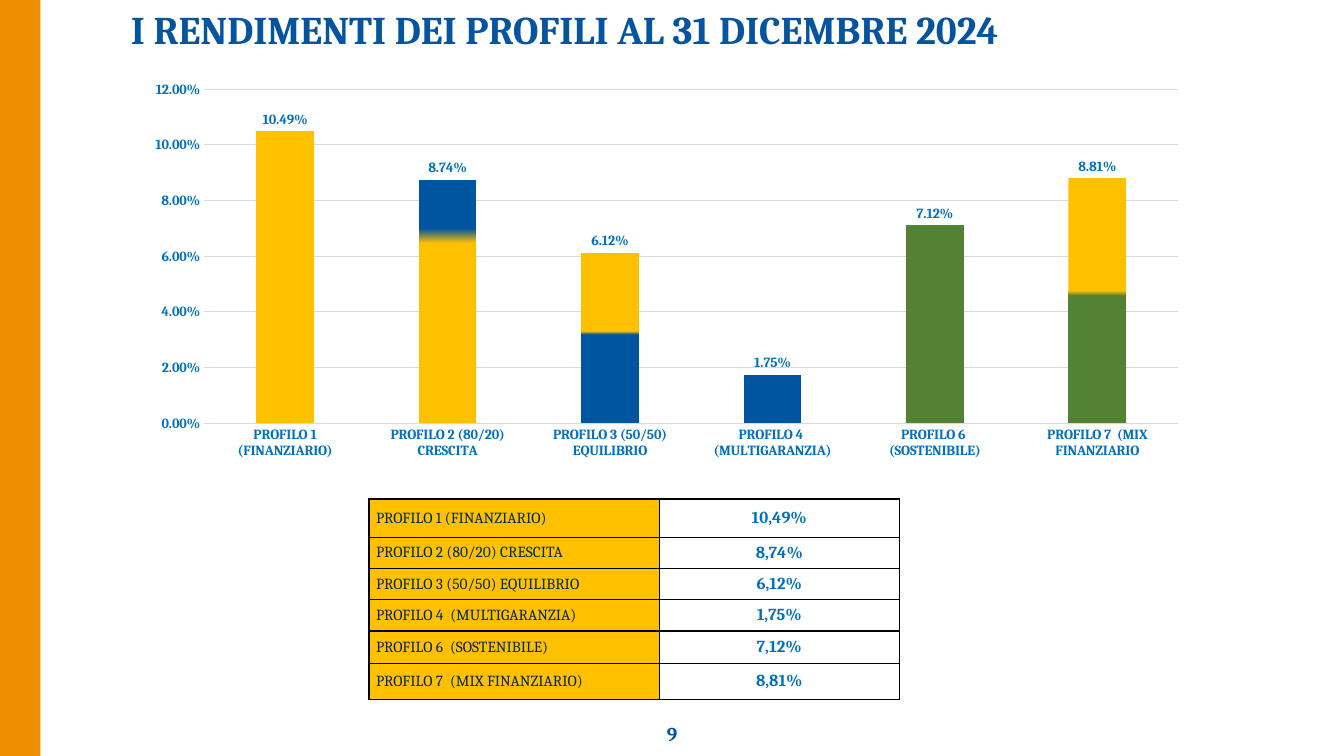
from lxml.etree import SubElement
from pptx import Presentation
from pptx.chart.data import CategoryChartData
from pptx.dml.color import RGBColor
from pptx.enum.chart import XL_CHART_TYPE, XL_LABEL_POSITION, XL_TICK_MARK
from pptx.enum.shapes import MSO_SHAPE
from pptx.enum.text import MSO_ANCHOR, PP_ALIGN
from pptx.oxml.ns import qn
from pptx.util import Inches, Pt

FONT = "Cambria"
NAVY, BLUE, DARK = "04549F", "0070C0", "002758"
ORANGE, YELLOW, ROYAL, GREEN = "F08E01", "FFC000", "0055A0", "548235"
WHITE, BLACK, GRAY = "FFFFFF", "000000", "D9D9D9"

RETURNS = [
    ("PROFILO 1 (FINANZIARIO)", 0.1049),
    ("PROFILO 2 (80/20)\nCRESCITA", 0.0874),
    ("PROFILO 3 (50/50)\nEQUILIBRIO", 0.0612),
    ("PROFILO 4  (MULTIGARANZIA)", 0.0175),
    ("PROFILO 6  (SOSTENIBILE)", 0.0712),
    ("PROFILO 7  (MIX FINANZIARIO", 0.0881),
]
BAR_FILLS = [
    [(0, YELLOW)],
    [(20, ROYAL), (26, YELLOW)],
    [(46, YELLOW), (48, ROYAL)],
    [(0, ROYAL)],
    [(0, GREEN)],
    [(46, YELLOW), (48, GREEN)],
]
TABLE_ROWS = [
    ("PROFILO 1 (FINANZIARIO)", "10,49%", 0.38),
    ("PROFILO 2 (80/20) CRESCITA", "8,74%", 0.31),
    ("PROFILO 3 (50/50) EQUILIBRIO", "6,12%", 0.31),
    ("PROFILO 4  (MULTIGARANZIA)", "1,75%", 0.31),
    ("PROFILO 6  (SOSTENIBILE)", "7,12%", 0.32),
    ("PROFILO 7  (MIX FINANZIARIO)", "8,81%", 0.36),
]


def rgb(value):
    return RGBColor.from_string(value)


class SlideBuilder:
    def __init__(self, slide):
        self.slide = slide

    def style(self, font, size, color, bold=True):
        font.name = FONT
        font.size = Pt(size)
        font.bold = bold
        font.color.rgb = rgb(color)

    def add_text(self, frame, text, size, color, bold=True, align=PP_ALIGN.LEFT):
        paragraph = frame.paragraphs[0]
        paragraph.alignment = align
        run = paragraph.add_run()
        run.text = text
        self.style(run.font, size, color, bold)

    def text(self, box, text, size, align=PP_ALIGN.LEFT):
        shape = self.slide.shapes.add_textbox(*map(Inches, box))
        shape.text_frame.word_wrap = True
        self.add_text(shape.text_frame, text, size, NAVY, align=align)

    def band(self, box, color):
        shape = self.slide.shapes.add_shape(MSO_SHAPE.RECTANGLE, *map(Inches, box))
        shape.shadow.inherit = False
        shape.fill.solid()
        shape.fill.fore_color.rgb = rgb(color)
        shape.line.fill.background()

    def fill_bar(self, fill, stops):
        if len(stops) == 1:
            fill.solid()
            fill.fore_color.rgb = rgb(stops[0][1])
            return
        fill.gradient()
        fill.gradient_angle = 270
        for gradient_stop, (percent, color) in zip(fill.gradient_stops, stops):
            gradient_stop.position = percent / 100
            gradient_stop.color.rgb = rgb(color)

    def gray_line(self, line):
        line.color.rgb = rgb(GRAY)
        line.width = Pt(0.75)

    def chart(self, box, returns, bar_fills):
        data = CategoryChartData(number_format="0.00%")
        data.categories = [name for name, value in returns]
        data.add_series("Series 1", [value for name, value in returns])
        chart = self.slide.shapes.add_chart(
            XL_CHART_TYPE.COLUMN_CLUSTERED, *map(Inches, box), data
        ).chart
        chart.has_legend = False
        chart.has_title = False
        self.style(chart.font, 10, BLUE)

        for axis in (chart.category_axis, chart.value_axis):
            axis.major_tick_mark = XL_TICK_MARK.NONE
            axis.minor_tick_mark = XL_TICK_MARK.NONE
            self.style(axis.tick_labels.font, 10, BLUE)
        self.gray_line(chart.category_axis.format.line)
        value_axis = chart.value_axis
        value_axis.minimum_scale = 0
        value_axis.maximum_scale = 0.12
        value_axis.major_unit = 0.02
        value_axis.format.line.fill.background()
        value_axis.tick_labels.number_format = "0.00%"
        value_axis.tick_labels.number_format_is_linked = False
        self.gray_line(value_axis.major_gridlines.format.line)

        plot = chart.plots[0]
        plot.gap_width = 182
        plot.vary_by_categories = False
        series = plot.series[0]
        for index, stops in enumerate(bar_fills):
            self.fill_bar(series.points[index].format.fill, stops)
        labels = series.data_labels
        labels.show_value = True
        labels.position = XL_LABEL_POSITION.OUTSIDE_END
        labels.number_format = "0.00%"
        labels.number_format_is_linked = False
        self.style(labels.font, 10, BLUE)

    def cell(self, cell, text, size, color, bold, align, background):
        cell.margin_left = Inches(0.07) if align == PP_ALIGN.LEFT else 0
        cell.margin_right = cell.margin_top = cell.margin_bottom = 0
        cell.vertical_anchor = MSO_ANCHOR.MIDDLE
        properties = cell._tc.get_or_add_tcPr()
        for side in ("a:lnL", "a:lnR", "a:lnT", "a:lnB"):
            line = SubElement(properties, qn(side), w=str(Pt(1)))
            solid = SubElement(line, qn("a:solidFill"))
            SubElement(solid, qn("a:srgbClr"), val=BLACK)
        cell.fill.solid()
        cell.fill.fore_color.rgb = rgb(background)
        self.add_text(cell.text_frame, text, size, color, bold, align)

    def table(self, box, widths, rows):
        table = self.slide.shapes.add_table(
            len(rows), len(widths), *map(Inches, box)
        ).table
        table.first_row = False
        table.horz_banding = False
        for column, width in zip(table.columns, widths):
            column.width = Inches(width)
        for index, (name, value, height) in enumerate(rows):
            table.rows[index].height = Inches(height)
            self.cell(table.cell(index, 0), name, 11, DARK, False, PP_ALIGN.LEFT, YELLOW)
            self.cell(table.cell(index, 1), value, 12, BLUE, True, PP_ALIGN.CENTER, WHITE)


def main():
    presentation = Presentation()
    presentation.slide_width = Inches(13.33)
    presentation.slide_height = Inches(7.5)
    builder = SlideBuilder(presentation.slides.add_slide(presentation.slide_layouts[6]))
    builder.text((1.2, 0, 10.95, 0.57), "I RENDIMENTI DEI PROFILI AL 31 DICEMBRE 2024", 28)
    builder.band((0, 0, 0.4, 7.5), ORANGE)
    builder.text((6.51, 7.11, 0.31, 0.39), "9", 14, PP_ALIGN.CENTER)
    builder.chart((1.33, 0.73, 10.57, 3.9), RETURNS, BAR_FILLS)
    builder.table((3.66, 4.95, 5.26, 2.01), (2.88, 2.38), TABLE_ROWS)
    presentation.save("out.pptx")


if __name__ == "__main__":
    main()
